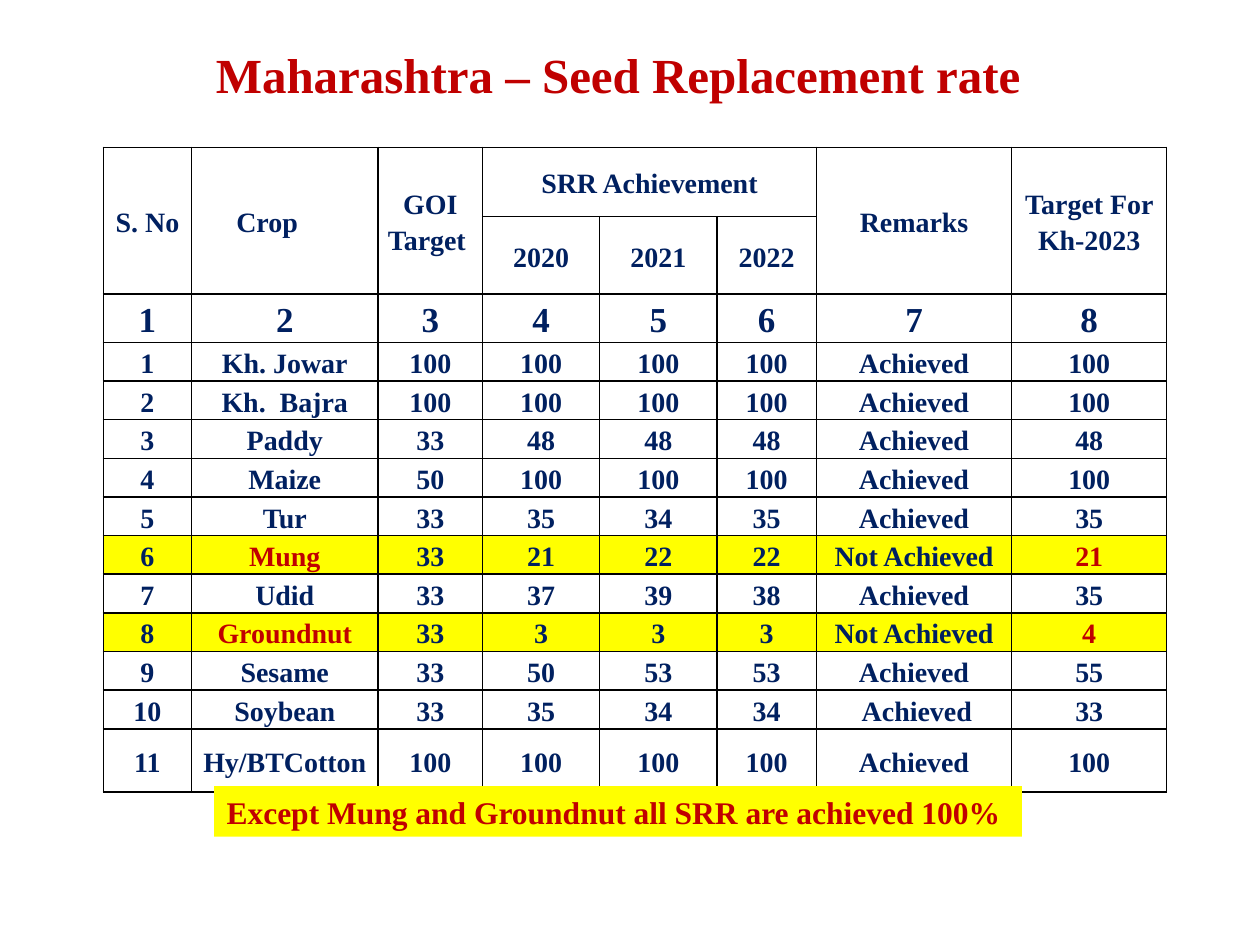
import pptx
import pptx.dml.color
import pptx.enum.shapes
import pptx.enum.text
import pptx.oxml
import pptx.oxml.ns
import pptx.util
from pptx.util import Inches

COLORS = {"navy": "002060", "red": "C00000", "yellow": "FFFF00",
          "white": "FFFFFF", "black": "000000"}
FONT = "Times New Roman"
CENTER = pptx.enum.text.PP_ALIGN.CENTER
MIDDLE = pptx.enum.text.MSO_ANCHOR.MIDDLE

COLUMN_WIDTHS = [0.7, 1.48, 0.83, 0.93, 0.93, 0.79, 1.55, 1.23]
ROW_HEIGHTS = [0.55] + [0.29] * 12 + [0.5]
HEADINGS = ["S. No", "Crop", "GOI Target ", "SRR Achievement", "", "",
            "Remarks", "Target For Kh-2023"]
YEARS = ["", "", "", "2020", "2021", "2022", "", ""]
# Crop, GOI target, achievement 2020 to 2022, remarks, target for 2023
CROPS = [
    ("Kh. Jowar", 100, 100, 100, 100, "Achieved", 100),
    ("Kh.  Bajra", 100, 100, 100, 100, "Achieved", 100),
    ("Paddy", 33, 48, 48, 48, "Achieved", 48),
    ("Maize", 50, 100, 100, 100, "Achieved", 100),
    ("Tur", 33, 35, 34, 35, "Achieved", 35),
    ("Mung", 33, 21, 22, 22, "Not Achieved", 21),
    ("Udid", 33, 37, 39, 38, "Achieved", 35),
    ("Groundnut", 33, 3, 3, 3, "Not Achieved", 4),
    ("Sesame", 33, 50, 53, 53, "Achieved", 55),
    ("Soybean", 33, 35, 34, 34, " Achieved", 33),
    ("Hy/BTCotton", 100, 100, 100, 100, "Achieved", 100),
]
CROP_COLUMN, REMARKS_COLUMN, TARGET_COLUMN = 1, 6, 7


def rgb(color):
    return pptx.dml.color.RGBColor.from_string(COLORS[color])


def set_values(target, values):
    for name, value in values.items():
        setattr(target, name, value)


def write(paragraph, text, size, color, **layout):
    paragraph.text = text
    set_values(paragraph, layout)
    font = paragraph.runs[0].font if paragraph.runs else paragraph.font
    set_values(font, {"name": FONT, "size": pptx.util.Pt(size), "bold": True})
    font.color.rgb = rgb(color)


def add_borders(cell):
    properties = cell._tc.get_or_add_tcPr()
    for side in ("lnL", "lnR", "lnT", "lnB"):
        properties.append(pptx.oxml.parse_xml(
            f'<a:{side} {pptx.oxml.ns.nsdecls("a")} w="12700"><a:solidFill>'
            f'<a:srgbClr val="{COLORS["black"]}"/></a:solidFill></a:{side}>'))


def fill_cell(cell, text, size=16, color="navy", fill="white"):
    set_values(cell, {"margin_left": Inches(0.07), "margin_right": Inches(0.07),
                      "margin_top": 0, "margin_bottom": 0,
                      "vertical_anchor": MIDDLE})
    add_borders(cell)
    cell.fill.solid()
    cell.fill.fore_color.rgb = rgb(fill)
    write(cell.text_frame.paragraphs[0], text, size, color,
          alignment=CENTER, line_spacing=1.15)


def add_title(slide):
    title = slide.shapes.add_textbox(Inches(0.23), Inches(0.29),
                                     Inches(9.35), Inches(0.59))
    set_values(title.text_frame, {"word_wrap": True, "vertical_anchor": MIDDLE})
    write(title.text_frame.paragraphs[0], "Maharashtra – Seed Replacement rate",
          28, "red", alignment=CENTER)


def add_seed_table(slide):
    table = slide.shapes.add_table(
        len(ROW_HEIGHTS), len(COLUMN_WIDTHS), Inches(0.82), Inches(1.17),
        Inches(sum(COLUMN_WIDTHS)), Inches(sum(ROW_HEIGHTS))).table
    for column, width in zip(table.columns, COLUMN_WIDTHS):
        column.width = Inches(width)
    for row, height in zip(table.rows, ROW_HEIGHTS):
        row.height = Inches(height)

    # Headings and column numbers
    for column, (heading, year) in enumerate(zip(HEADINGS, YEARS)):
        fill_cell(table.cell(0, column), heading)
        fill_cell(table.cell(1, column), year)
        fill_cell(table.cell(2, column), str(column + 1), size=20)
        if heading and column != 3:
            table.cell(0, column).merge(table.cell(1, column))
    table.cell(0, 3).merge(table.cell(0, 5))
    table.cell(0, CROP_COLUMN).margin_right = Inches(0.35)

    # Crops, with those that missed the target highlighted
    for number, crop in enumerate(CROPS, start=1):
        values = (number, *crop)
        missed = values[REMARKS_COLUMN] == "Not Achieved"
        for column, value in enumerate(values):
            stressed = missed and column in (CROP_COLUMN, TARGET_COLUMN)
            fill_cell(table.cell(number + 2, column), str(value),
                      color="red" if stressed else "navy",
                      fill="yellow" if missed else "white")


def add_conclusion(slide):
    conclusion = slide.shapes.add_shape(
        pptx.enum.shapes.MSO_SHAPE.RECTANGLE,
        Inches(1.7), Inches(6.24), Inches(6.41), Inches(0.4))
    conclusion.shadow.inherit = False
    conclusion.fill.solid()
    conclusion.fill.fore_color.rgb = rgb("yellow")
    conclusion.line.fill.background()
    set_values(conclusion.text_frame,
               {"word_wrap": True, "vertical_anchor": MIDDLE})
    write(conclusion.text_frame.paragraphs[0],
          "Except Mung and Groundnut all SRR are achieved 100%", 18, "red",
          alignment=pptx.enum.text.PP_ALIGN.LEFT)


def main():
    presentation = pptx.Presentation()
    set_values(presentation, {"slide_width": Inches(10),
                              "slide_height": Inches(7.5)})
    slide = presentation.slides.add_slide(presentation.slide_layouts[6])
    add_title(slide)
    add_seed_table(slide)
    add_conclusion(slide)
    presentation.save("out.pptx")


if __name__ == "__main__":
    main()
